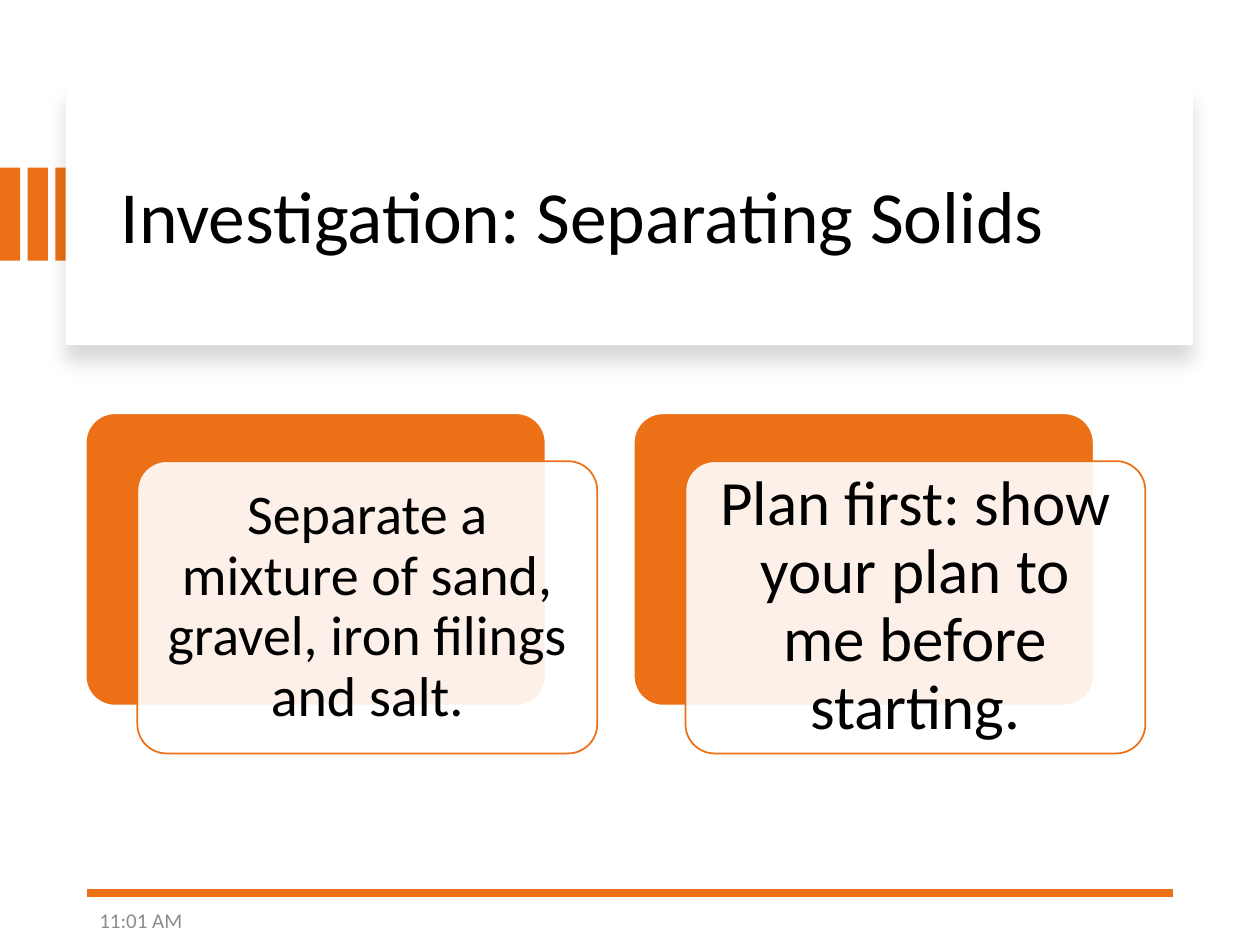
"""Builds the slide on the investigation into separating solids."""
from lxml import etree
from pptx import Presentation
from pptx import util as u
from pptx.dml.color import RGBColor
from pptx.enum import shapes, text
from pptx.oxml import parse_xml
from pptx.oxml.ns import nsdecls, qn

COLORS = {"orange": "EC7016", "white": "FFFFFF", "black": "000000", "grey": "8C8C8C"}
FONT = "Calibri"
CARDS = [
    ("Separate a mixture of sand, gravel, iron filings and salt.", 32, 0.13),
    ("Plan first: show your plan to me before starting.", 36, 0.15),
]


def rgb(name):
    return RGBColor.from_string(COLORS[name])


def inches(*lengths):
    return [u.Inches(length) for length in lengths]


def add_block(slide, box, fill, line=None, radius=None, opacity=None):
    kind = shapes.MSO_SHAPE.ROUNDED_RECTANGLE if radius else shapes.MSO_SHAPE.RECTANGLE
    block = slide.shapes.add_shape(kind, *inches(*box))
    block.shadow.inherit = False
    if radius:
        block.adjustments[0] = radius
    block.fill.solid()
    block.fill.fore_color.rgb = rgb(fill)
    if opacity:
        tint = block.fill._xPr.find(qn("a:solidFill"))[0]
        etree.SubElement(tint, qn("a:alpha")).set("val", str(opacity * 1000))
    if line:
        block.line.color.rgb = rgb(line)
        block.line.width = u.Pt(1)
    else:
        block.line.fill.background()
    return block


def add_drop_shadow(block, opacity, blur, distance):
    effects = block._element.spPr.find(qn("a:effectLst"))
    effects.append(parse_xml(
        f'<a:outerShdw {nsdecls("a")} blurRad="{u.Pt(blur)}" dist="{u.Pt(distance)}" '
        f'dir="5400000" algn="t" rotWithShape="0"><a:srgbClr val="{COLORS["black"]}">'
        f'<a:alpha val="{opacity * 1000}"/></a:srgbClr></a:outerShdw>'))


def add_text(slide, box, words, size, color="black", align=text.PP_ALIGN.LEFT,
             spacing=1.0, inset=None):
    frame = slide.shapes.add_textbox(*inches(*box)).text_frame
    frame.word_wrap = True
    frame.vertical_anchor = text.MSO_ANCHOR.MIDDLE
    if inset:
        frame.margin_left = frame.margin_right = u.Inches(inset)
        frame.margin_top = frame.margin_bottom = u.Inches(inset)
    paragraph = frame.paragraphs[0]
    paragraph.alignment = align
    paragraph.line_spacing = spacing
    run = paragraph.add_run()
    run.text = words
    run.font.name = FONT
    run.font.size = u.Pt(size)
    run.font.color.rgb = rgb(color)


def add_rule(slide, start, end, width):
    rule = slide.shapes.add_connector(shapes.MSO_CONNECTOR.STRAIGHT, *inches(*start, *end))
    rule.line.color.rgb = rgb("orange")
    rule.line.width = u.Pt(width)
    etree.SubElement(rule._element.spPr, qn("a:effectLst"))


def add_header(slide):
    for index in range(3):
        add_block(slide, (0.22 * index, 1.33, 0.16, 0.74), "orange")
    panel = add_block(slide, (0.52, 0.67, 8.95, 2.07), "white")
    add_drop_shadow(panel, opacity=15, blur=11, distance=10)
    add_text(slide, (0.86, 0.89, 8.34, 1.7), "Investigation: Separating Solids", 42,
             spacing=0.9)


def add_card(slide, left, words, size, inset):
    top, width, height = 3.28, 3.65, 2.32
    add_block(slide, (left, top, width, height), "orange", line="white", radius=0.1)
    left, top = left + 0.41, top + 0.38
    add_block(slide, (left, top, width, height), "white", line="orange", radius=0.1,
              opacity=90)
    add_text(slide, (left + 0.07, top + 0.07, width - 0.14, height - 0.14), words, size,
             align=text.PP_ALIGN.CENTER, spacing=0.9, inset=inset)


def main():
    deck = Presentation()
    deck.slide_width, deck.slide_height = inches(10, 7.5)
    slide = deck.slides.add_slide(deck.slide_layouts[6])
    add_header(slide)
    add_rule(slide, (9.31, 7.09), (0.69, 7.09), 4.5)
    add_text(slide, (0.69, 7.1, 2.25, 0.4), "11:01 AM", 12, color="grey")
    for index, (words, size, inset) in enumerate(CARDS):
        add_card(slide, 0.68 + 4.35 * index, words, size, inset)
    deck.save("out.pptx")


if __name__ == "__main__":
    main()
